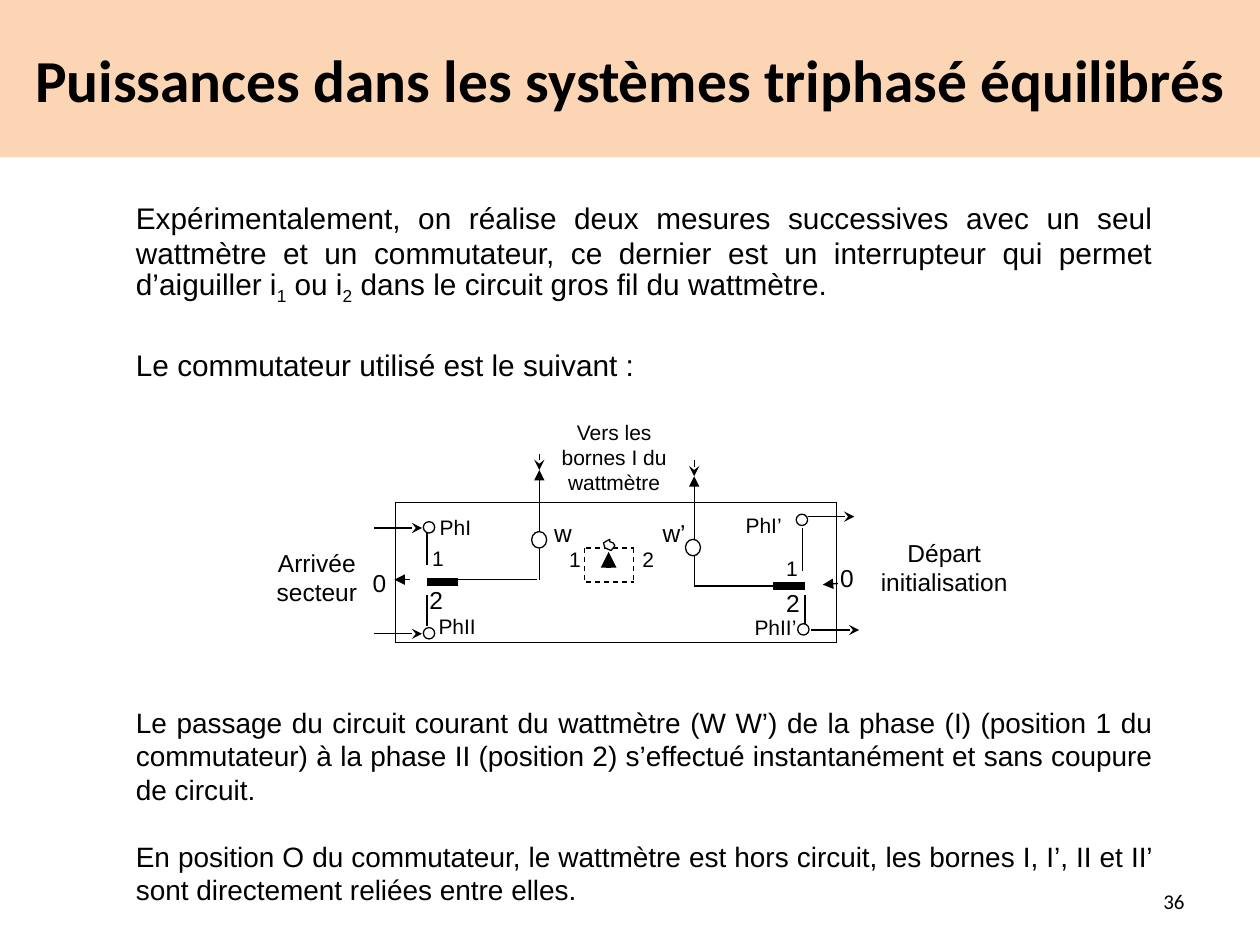
from lxml.etree import SubElement
from pptx import Presentation
from pptx.dml.color import RGBColor
from pptx.enum.dml import MSO_LINE
from pptx.enum.shapes import MSO_CONNECTOR, MSO_SHAPE
from pptx.enum.text import MSO_ANCHOR, PP_ALIGN
from pptx.oxml.ns import qn
from pptx.util import Pt

BLACK = RGBColor(0x00, 0x00, 0x00)
WHITE = RGBColor(0xFF, 0xFF, 0xFF)
PEACH = RGBColor(0xFC, 0xD5, 0xB5)

BODY = [
    (17, 20.2, 0, ["Expérimentalement, on réalise deux mesures successives avec un seul "
                   "wattmètre et un commutateur, ce dernier est un interrupteur qui permet "
                   "d’aiguiller i", "1", " ou i", "2",
                   " dans le circuit gros fil du wattmètre."]),
    (17, 20.2, 23.5, ["Le commutateur utilisé est le suivant\u00a0:"]),
    (16, 19.2, 184.4, ["Le passage du circuit courant du wattmètre (W W’) de la phase (I) "
                       "(position 1 du commutateur) à la phase II (position 2) s’effectué "
                       "instantanément et sans coupure de circuit."]),
    (16, 19.2, 19, ["En position O du commutateur, le wattmètre est hors circuit, les "
                    "bornes I, I’, II et II’ sont directement reliées entre elles."]),
]

CASING = [(226, 287.2, 478, 287.2), (226, 286.6, 226, 367.2),
          (226, 367.2, 478, 367.2), (478, 286.6, 478, 367.2)]
WIRES = [(308.2, 313.2, 308.2, 331.2), (306.8, 331.2, 262, 331.2),
         (244, 322.6, 244, 304.6), (244, 357.8, 244, 339.8),
         (458.6, 326.2, 458.6, 301.7), (460, 357.8, 460, 339.8),
         (396.7, 316.8, 396.7, 334.8), (442, 334.8, 396.7, 334.8)]
BLADES = [(262, 332.6, 244, 332.6), (460, 334.8, 442, 334.8)]
SELECTOR = [(334.8, 313.2, 362.2, 313.2), (334.8, 332.6, 362.2, 332.6),
            (334.1, 313.2, 334.1, 331.2), (362.2, 313.2, 362.2, 331.2)]
TRIANGLE_ARROWS = [(308.2, 304.6, 308.2, 268.6), (396.7, 308.2, 396.7, 272.2),
                   (234, 331.2, 225.4, 331.2), (478.8, 333.4, 470.2, 334.1)]
STEALTH_ARROWS = [(308.2, 259.2, 308.2, 268.6), (396.7, 262.8, 396.7, 272.2),
                  (213.8, 301.7, 241.2, 301.7), (213.8, 362.2, 241.2, 362.2),
                  (461.5, 295.2, 488.2, 295.2), (463.7, 360, 491, 360)]
TERMINALS = [(303.8, 303.8, 8.6, 9.4), (391.7, 308.2, 8.6, 9.4),
             (241.9, 298.1, 6.5, 6.5), (241.9, 358.6, 6.5, 6.5),
             (455, 293.8, 6.5, 6.5), (455.8, 356.4, 6.5, 6.5)]
KNOB = [(348.5, 308.2), (346.5, 309.2), (344.9, 310.3), (345.6, 313), (349.2, 314.6),
        (350.6, 313), (351.4, 311.8), (350.3, 310.2), (348.5, 309.6)]

CAPTIONS = [("Arrivée\nsecteur", 135.4, 309.6, 91.4, 33.1, 14),
            ("Vers les bornes I du wattmètre", 305.3, 236.2, 91.4, 33.1, 12),
            ("Départ\u0020initialisation", 493.9, 303.8, 91.4, 45.4, 14)]
POSITION_MARKS = [("1", 442.1, 313.9, 12), ("2", 442.1, 332.6, 14),
                  ("0", 473, 318.2, 14), ("1", 239.8, 308.2, 12),
                  ("2", 238.3, 330.5, 14), ("0", 205.9, 321.1, 14),
                  ("1", 318.2, 308.9, 12), ("2", 360, 308.9, 12),
                  ("w", 309.6, 292.3, 14), ("w’", 371.5, 292.3, 14)]
PHASES = [("PhI’", 419, 289.4, 36, 7.2), ("PhI", 251.3, 290.2, 36, 0),
          ("PhII’", 424.1, 347.8, 33.1, 7.2), ("PhII", 250.6, 347, 33.1, 0)]


def add_label(slide, wording, left, top, width, height, size, align=PP_ALIGN.LEFT,
              font_name="Arial", left_inset=7.2, right_inset=7.2, anchor=MSO_ANCHOR.TOP):
    frame = slide.shapes.add_textbox(Pt(left), Pt(top), Pt(width), Pt(height)).text_frame
    frame.word_wrap = True
    frame.vertical_anchor = anchor
    frame.margin_left, frame.margin_right = Pt(left_inset), Pt(right_inset)
    frame.text = wording
    for paragraph in frame.paragraphs:
        paragraph.alignment = align
        paragraph.font.name = font_name
        paragraph.font.size = Pt(size)
        paragraph.font.color.rgb = BLACK


def add_wire(slide, ends, weight=0.75, head=None, dash=None):
    wire = slide.shapes.add_connector(MSO_CONNECTOR.STRAIGHT, *map(Pt, ends))
    wire.line.color.rgb = BLACK
    wire.line.width = Pt(weight)
    if dash:
        wire.line.dash_style = dash
    if head:
        SubElement(wire.line._get_or_add_ln(), qn("a:tailEnd"), type=head)
    SubElement(wire._element.spPr, qn("a:effectLst"))


def style_outline(shape):
    shape.shadow.inherit = False
    shape.fill.solid()
    shape.fill.fore_color.rgb = WHITE
    shape.line.color.rgb = BLACK
    shape.line.width = Pt(0.75)


def add_title(slide):
    banner = slide.shapes.add_shape(MSO_SHAPE.RECTANGLE, 0, 0, Pt(720), Pt(90))
    banner.shadow.inherit = False
    banner.fill.solid()
    banner.fill.fore_color.rgb = PEACH
    banner.line.fill.background()
    frame = banner.text_frame
    frame.word_wrap = True
    frame.vertical_anchor = MSO_ANCHOR.MIDDLE
    frame.text = "Puissances dans les systèmes triphasé équilibrés"
    heading = frame.paragraphs[0]
    heading.alignment = PP_ALIGN.CENTER
    heading.font.name = "Calibri"
    heading.font.size = Pt(34)
    heading.font.bold = True
    heading.font.color.rgb = BLACK


def add_body(slide):
    frame = slide.shapes.add_textbox(Pt(70.6), Pt(90), Pt(595.4), Pt(452.9)).text_frame
    frame.word_wrap = True
    frame.margin_top = Pt(24.3)
    for index, (size, spacing, gap, pieces) in enumerate(BODY):
        paragraph = frame.add_paragraph() if index else frame.paragraphs[0]
        paragraph.alignment = PP_ALIGN.JUSTIFY
        paragraph.line_spacing = Pt(spacing)
        paragraph.space_before = Pt(gap)
        paragraph.font.name = "Arial"
        paragraph.font.size = Pt(size)
        paragraph.font.color.rgb = BLACK
        for piece in pieces:
            run = paragraph.add_run()
            run.text = piece
            if piece.isdigit():
                run.font._element.set("baseline", "-25000")


def add_switch(slide):
    for ends in CASING + WIRES:
        add_wire(slide, ends)
    for ends in BLADES:
        add_wire(slide, ends, weight=4.5)
    for ends in SELECTOR:
        add_wire(slide, ends, dash=MSO_LINE.DASH)
    for ends in TRIANGLE_ARROWS:
        add_wire(slide, ends, head="triangle")
    for ends in STEALTH_ARROWS:
        add_wire(slide, ends, head="stealth")
    add_wire(slide, (347.8, 324.7, 347.8, 315.4), weight=3, head="triangle")
    for place in TERMINALS:
        style_outline(slide.shapes.add_shape(MSO_SHAPE.OVAL, *map(Pt, place)))
    start, *rest = [(Pt(x), Pt(y)) for x, y in KNOB]
    knob = slide.shapes.build_freeform(*start)
    knob.add_line_segments(rest, close=True)
    style_outline(knob.convert_to_shape())


def add_switch_labels(slide):
    for wording, left, top, width, height, size in CAPTIONS:
        add_label(slide, wording, left, top, width, height, size, PP_ALIGN.CENTER)
    for wording, left, top, size in POSITION_MARKS:
        add_label(slide, wording, left, top, 28.1, 28.1, size)
    for wording, left, top, width, inset in PHASES:
        add_label(slide, wording, left, top, width, 22, 12,
                  left_inset=inset, right_inset=0)


def main():
    deck = Presentation()
    deck.slide_width, deck.slide_height = Pt(720), Pt(540)
    slide = deck.slides.add_slide(deck.slide_layouts[6])
    add_title(slide)
    add_body(slide)
    add_switch(slide)
    add_switch_labels(slide)
    add_label(slide, "36", 516.2, 500.4, 167.8, 28.8, 12, PP_ALIGN.RIGHT,
              "Calibri", anchor=MSO_ANCHOR.MIDDLE)
    deck.save("out.pptx")


if __name__ == "__main__":
    main()
